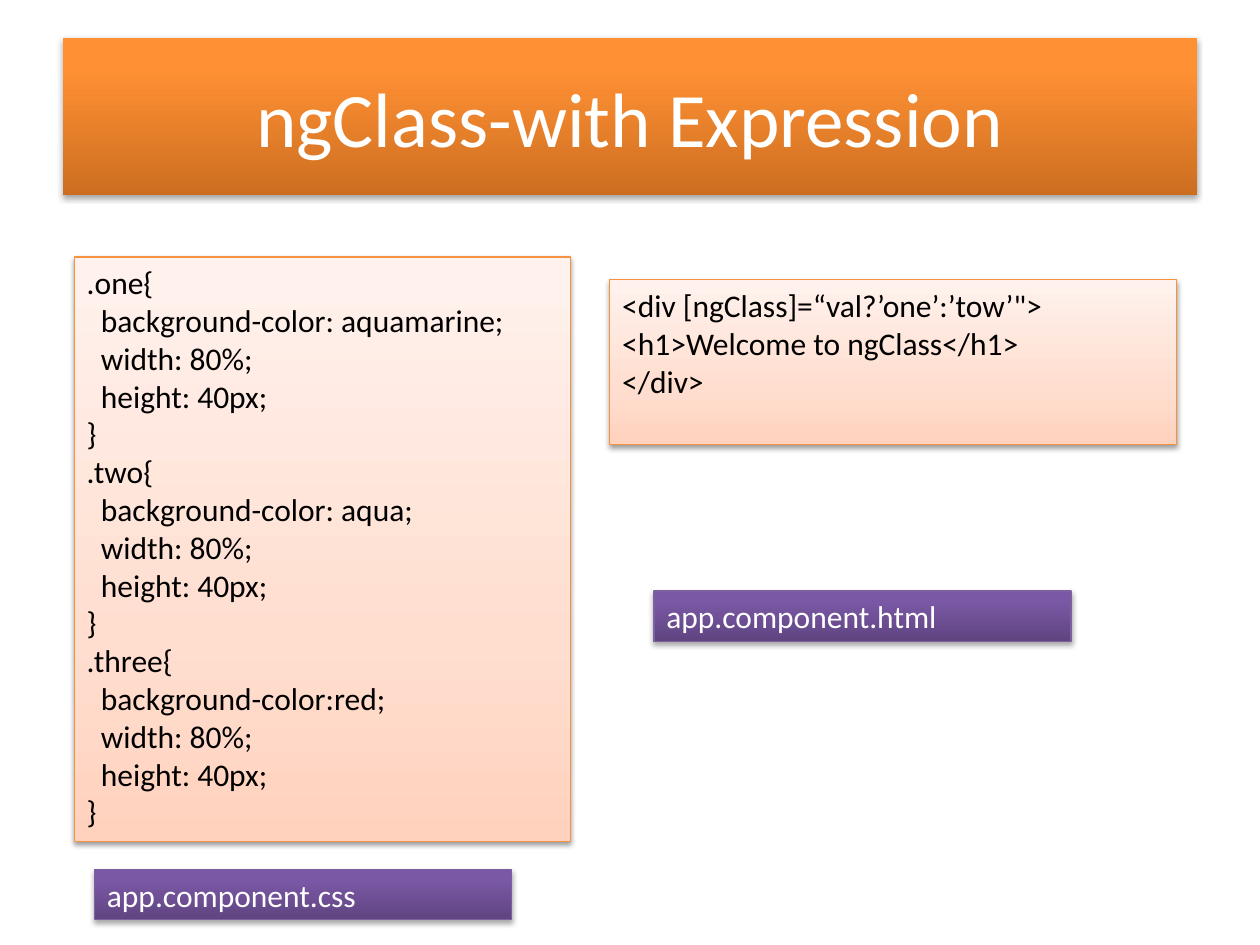
from dataclasses import dataclass

import pptx
import pptx.dml.color
import pptx.enum.shapes
import pptx.enum.text
import pptx.oxml.ns
import pptx.util
from lxml import etree

COLUMNS, ROWS = 100, 75


@dataclass(frozen=True)
class Style:
    stops: tuple[tuple[int, str], ...]  # percent from the bottom edge, colour
    text_color: str
    line: str | None = None
    shadow_alpha: int = 35
    shadow_distance: float = 1.8


@dataclass(frozen=True)
class Theme:
    font: str = "Calibri"
    title_size: int = 44
    body_size: int = 18
    line_width: float = 0.75
    shadow_color: str = "000000"
    shadow_blur: float = 3.1
    indent: float = 8.1
    title: Style = Style(((0, "CC6E20"), (80, "FF9034"), (100, "FF9136")), "FFFFFF")
    code: Style = Style(((0, "FFD2BD"), (35, "FFDED0"), (100, "FFF2ED")), "000000",
                        "F69240", 38, 1.6)
    label: Style = Style(((0, "5F4480"), (80, "7B58A6"), (100, "7C57A8")), "FFFFFF",
                         "7D60A0")


THEME = Theme()


@dataclass(frozen=True)
class Area:
    """A rectangle in columns and rows of the slide grid."""
    column: float
    row: float
    columns: float
    rows: float


@dataclass(frozen=True)
class Panel:
    area: Area
    style: Style
    lines: tuple[str, ...]


def css_rule(name: str, color: str) -> tuple[str, ...]:
    """Lines of one rule; a leading tab marks an indented line."""
    return (f".{name}{{", f"\tbackground-color:{color};",
            "\twidth: 80%;", "\theight: 40px;", "}")


TITLE_AREA = Area(5, 3, 90, 12.5)
PANELS = (
    Panel(Area(5.9, 20.4, 39.4, 46.4), THEME.code,
          css_rule("one", " aquamarine") + css_rule("two", " aqua")
          + css_rule("three", "red")),
    Panel(Area(48.4, 22.2, 45, 13.1), THEME.code,
          ("<div [ngClass]=“val?’one’:’tow’\">",
           "<h1>Welcome to ngClass</h1>", "</div>")),
    Panel(Area(7.5, 69, 33.1, 4), THEME.label, ("app.component.css",)),
    Panel(Area(51.9, 46.9, 33.1, 4), THEME.label, ("app.component.html",)),
)


def rgb(value: str) -> pptx.dml.color.RGBColor:
    return pptx.dml.color.RGBColor.from_string(value)


def add_node(parent, tag: str, **attributes):
    node = etree.SubElement(parent, pptx.oxml.ns.qn(tag))
    for name, value in attributes.items():
        node.set(name, str(value))
    return node


def add_color(parent, value: str):
    return add_node(parent, "a:srgbClr", val=value)


def place(shape, area: Area, deck) -> None:
    shape.left = round(deck.slide_width * area.column / COLUMNS)
    shape.top = round(deck.slide_height * area.row / ROWS)
    shape.width = round(deck.slide_width * area.columns / COLUMNS)
    shape.height = round(deck.slide_height * area.rows / ROWS)


def decorate(shape, style: Style) -> None:
    """Give the shape its gradient, outline and shadow."""
    shape.fill.gradient()
    shape.fill.gradient_angle = 90
    properties = shape.element.spPr
    stop_list = properties.find(".//" + pptx.oxml.ns.qn("a:gsLst"))
    for stop in list(stop_list):
        stop_list.remove(stop)
    for percent, color in style.stops:
        add_color(add_node(stop_list, "a:gs", pos=percent * 1000), color)

    if style.line:
        shape.line.color.rgb = rgb(style.line)
        shape.line.width = pptx.util.Pt(THEME.line_width)
    else:
        shape.line.fill.background()

    shape.shadow.inherit = False
    effects = properties.find(pptx.oxml.ns.qn("a:effectLst"))
    shadow = add_node(effects, "a:outerShdw",
                      blurRad=pptx.util.Pt(THEME.shadow_blur),
                      dist=pptx.util.Pt(style.shadow_distance),
                      dir=90 * 60000, rotWithShape=0)
    add_node(add_color(shadow, THEME.shadow_color), "a:alpha",
             val=style.shadow_alpha * 1000)


def write(shape, lines: tuple[str, ...], *, size: int, color: str,
          align=pptx.enum.text.PP_ALIGN.LEFT,
          anchor=pptx.enum.text.MSO_ANCHOR.TOP) -> None:
    frame = shape.text_frame
    frame.word_wrap = True
    frame.auto_size = pptx.enum.text.MSO_AUTO_SIZE.NONE
    frame.vertical_anchor = anchor
    for index, line in enumerate(lines):
        para = frame.add_paragraph() if index else frame.paragraphs[0]
        para.alignment = align
        if line.startswith("\t"):
            para._p.get_or_add_pPr().set("marL", str(pptx.util.Pt(THEME.indent)))
        span = para.add_run()
        span.text = line.lstrip("\t")
        span.font.name = THEME.font
        span.font.size = pptx.util.Pt(size)
        span.font.color.rgb = rgb(color)


def add_title(page, deck) -> None:
    title = page.shapes.title
    place(title, TITLE_AREA, deck)
    decorate(title, THEME.title)
    write(title, ("ngClass-with Expression",), size=THEME.title_size,
          color=THEME.title.text_color, align=pptx.enum.text.PP_ALIGN.CENTER,
          anchor=pptx.enum.text.MSO_ANCHOR.MIDDLE)


def add_panel(page, deck, panel: Panel) -> None:
    box = page.shapes.add_shape(pptx.enum.shapes.MSO_SHAPE.RECTANGLE, 0, 0, 0, 0)
    place(box, panel.area, deck)
    decorate(box, panel.style)
    write(box, panel.lines, size=THEME.body_size, color=panel.style.text_color)


def main() -> None:
    deck = pptx.Presentation()
    deck.slide_width = pptx.util.Inches(10)
    deck.slide_height = pptx.util.Inches(7.5)
    page = deck.slides.add_slide(deck.slide_layouts.get_by_name("Title Only"))
    add_title(page, deck)
    for panel in PANELS:
        add_panel(page, deck, panel)
    deck.save("out.pptx")


if __name__ == "__main__":
    main()
